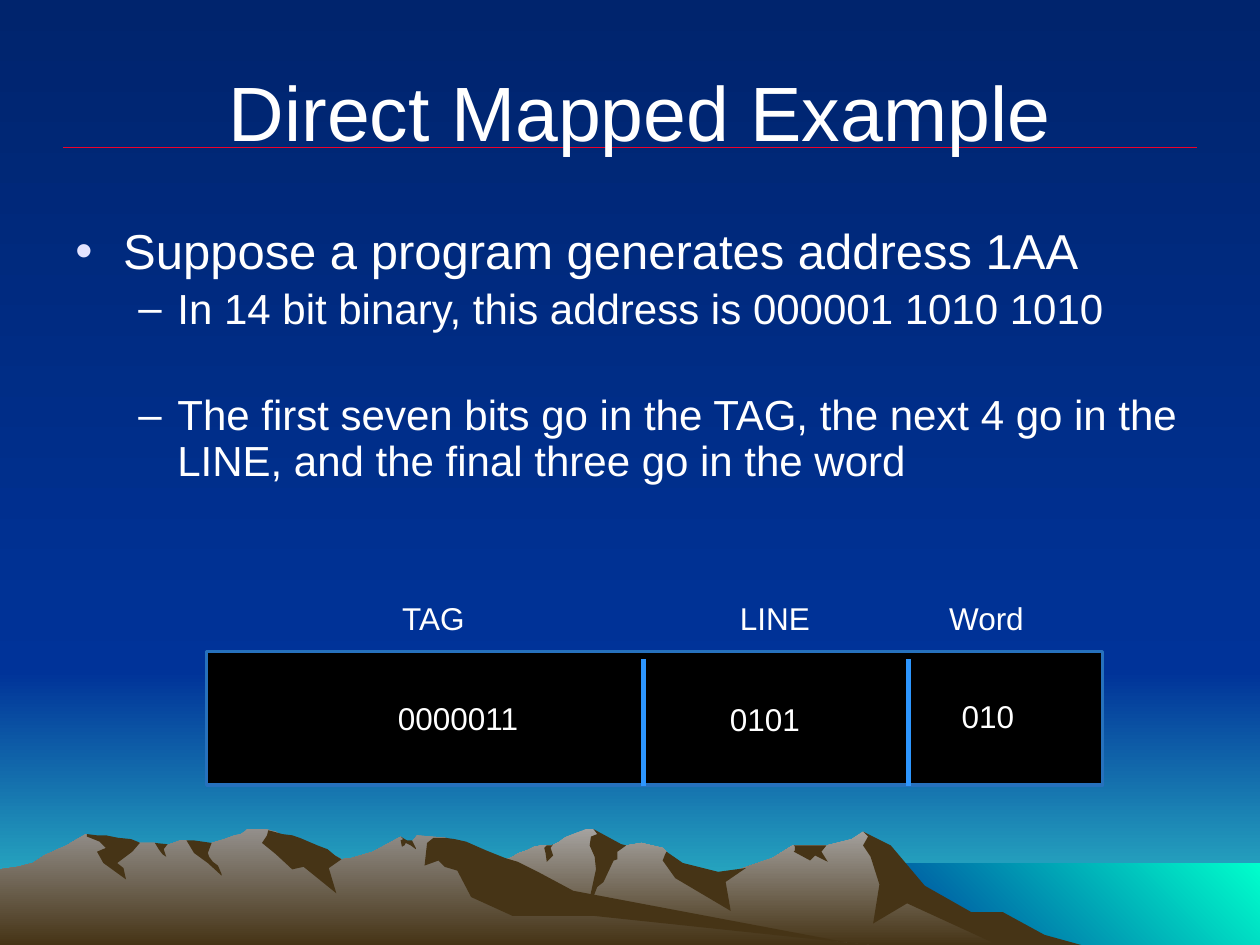
from lxml import etree
from pptx import Presentation
from pptx import util as u
from pptx.dml import color
from pptx.enum import shapes, text
from pptx.oxml import ns

HUES = {
    "night": "00246D", "blue": "003399", "dawn": "33CCCC", "sea": "00FFCC",
    "haze": "A5A29F", "dust": "938F8B", "rock": "463416", "rule": "EF0129",
    "white": "FFFFFF", "dot": "E3E3FF", "black": "000000",
    "edge": "2671BD", "split": "2D96FE",
}
COLS, ROWS = 1000, 750

SKY = [
    ("0,533 1000,533 1000,750 0,750", ("blue", "dawn", 90)),
    ("0,0 1000,0 1000,533 0,533", ("night", "blue", 90)),
    ("683,685 1000,685 1000,750 683,750", ("blue", "sea", 315)),
]
FAR = (
    "802,740 778,727 764,723 723,698 702,671 685,660 676,666 656,671 629,671 "
    "613,681 566,697 536,690 529,676 526,673 509,669 497,671 486,673 474,661 "
    "471,658 465,658 450,664 448,665 444,668 438,671 430,671 424,672 418,675 "
    "412,677 405,681 399,683 395,684 394,685 355,698 327,709 277,739 258,750 820,750"
)
FARDARK = [
    "796,724 771,724 734,703 707,671 685,660 689,664 685,671 691,680 698,702 "
    "693,733 720,717 792,750 858,750 829,742",
    "471,658 474,662 469,664 468,671 472,680 473,690 465,727 474,704 479,700 "
    "487,683 490,682 490,676 497,671 493,670",
    "529,676 528,678 526,683 536,697 580,723 576,700 592,689 570,692 542,685",
    "650,671 630,671 631,672 631,675 630,676 643,683 647,679 657,684 652,676 656,671",
    "433,677 432,673 434,671 438,671 439,670 437,673 439,679 434,684",
]
NEAR = (
    "690,750 667,748 432,712 354,665 331,663 327,668 323,668 318,664 296,676 "
    "279,681 271,682 260,676 236,681 223,663 222,662 219,660 215,659 212,658 "
    "196,658 194,660 191,662 186,663 178,666 168,669 160,671 148,667 143,667 "
    "132,671 128,671 123,669 111,669 94,671 68,662 56,669 53,671 46,674 35,679 "
    "26,685 14,688 0,690 0,750"
)
NEARDARK = [
    "212,663 208,669 219,678 232,690 241,688 267,709 261,689 271,682 266,679 "
    "260,674 252,671 245,668 238,665 232,663 224,662 217,660 213,659",
    "370,668 361,666 354,665 344,665 339,669 337,687 348,683 353,688 363,691 "
    "374,712 407,727 472,727 690,750 683,750 455,707 427,692 411,684 401,681 386,675",
    "318,667 320,666 318,664 323,667 327,667 330,673 330,674 326,671 322,669 "
    "321,671 319,672",
    "154,667 161,668 168,669 165,677 166,680 169,684 173,687 176,694 176,695 "
    "165,685 154,677 148,667",
    "133,670 130,674 132,680 129,678 126,674 123,669",
    "109,668 111,669 105,676 93,685 98,689 100,698 82,685 77,676 84,673 79,668 "
    "69,664 69,662 77,663 84,663 94,665 104,666",
]
POINTS = [
    (0, "Suppose a program generates address 1AA", 0),
    (1, "In 14 bit binary, this address is 000001 1010 1010", 4.8),
    (1, "The first seven bits go in the TAG, the next 4 go in the LINE, "
        "and the final three go in the word", 35),
]
LEVELS = [("•", 28, 0.38, 0.38, "dot"), ("–", 24, 0.81, 0.31, "white")]
NOTES = [
    ("0000011", 294, 551, 139), ("0101", 555, 552, 104), ("010", 732, 550, 104),
    ("TAG", 292, 472, 104), ("LINE", 563, 472, 104), ("Word", 731, 472, 104),
]


def rgb(hue):
    return color.RGBColor.from_string(HUES[hue])


class Deck:
    font = "Arial"

    def __init__(self):
        self.prs = Presentation()
        self.prs.slide_width, self.prs.slide_height = u.Inches(10), u.Inches(7.5)
        self.cell = self.prs.slide_width // COLS
        self.slide = self.prs.slides.add_slide(self.prs.slide_layouts[6])
        self.items = self.slide.shapes

    def grid(self, *vals):
        return [u.Emu(v * self.cell) for v in vals]

    def paint(self, fill, look):
        if isinstance(look, str):
            fill.solid()
            fill.fore_color.rgb = rgb(look)
            return
        *ends, angle = look
        fill.gradient()
        fill.gradient_angle = 360 - angle
        for stop, hue in zip(fill.gradient_stops, ends):
            stop.color.rgb = rgb(hue)

    def form(self, outline, look):
        first, *rest = [tuple(map(int, dot.split(","))) for dot in outline.split()]
        build = self.items.build_freeform(*first, scale=self.cell)
        build.add_line_segments(rest, close=True)
        shape = build.convert_to_shape()
        shape.shadow.inherit = False
        self.paint(shape.fill, look)
        shape.line.fill.background()

    def line(self, ends, hue, width):
        line = self.items.add_connector(shapes.MSO_CONNECTOR.STRAIGHT, *self.grid(*ends))
        line.line.color.rgb = rgb(hue)
        line.line.width = u.Pt(width)
        etree.SubElement(line.element.spPr, ns.qn("a:effectLst"))

    def rect(self, area, look, edge, width):
        shape = self.items.add_shape(shapes.MSO_SHAPE.RECTANGLE, *self.grid(*area))
        shape.shadow.inherit = False
        self.paint(shape.fill, look)
        shape.line.color.rgb = rgb(edge)
        shape.line.width = u.Pt(width)

    def frame(self, area):
        frame = self.items.add_textbox(*self.grid(*area)).text_frame
        frame.word_wrap = True
        return frame

    def run(self, para, words, size):
        run = para.add_run()
        run.text = words
        run.font.name = self.font
        run.font.size = u.Pt(size)
        run.font.color.rgb = rgb("white")

    def label(self, words, area, size):
        frame = self.frame(area)
        frame.vertical_anchor = text.MSO_ANCHOR.MIDDLE
        para = frame.paragraphs[0]
        para.alignment = text.PP_ALIGN.CENTER
        self.run(para, words, size)

    def bullets(self, points, area):
        frame = self.frame(area)
        for k, (level, words, gap) in enumerate(points):
            para = frame.add_paragraph() if k else frame.paragraphs[0]
            mark, size, left, hang, hue = LEVELS[level]
            para.level = level
            para.line_spacing = 0.9
            para.space_before = u.Pt(gap)
            props = para._p.get_or_add_pPr()
            props.set("marL", str(u.Inches(left)))
            props.set("indent", str(-u.Inches(hang)))
            tint = etree.SubElement(props, ns.qn("a:buClr"))
            etree.SubElement(tint, ns.qn("a:srgbClr"), val=HUES[hue])
            etree.SubElement(props, ns.qn("a:buFont"), typeface=self.font)
            etree.SubElement(props, ns.qn("a:buChar"), char=mark)
            self.run(para, words, size)


def main():
    deck = Deck()
    deck.paint(deck.slide.background.fill, ("night", "blue", 90))
    for outline, look in SKY:
        deck.form(outline, look)
    for ridge, top, darks in ((FAR, "haze", FARDARK), (NEAR, "dust", NEARDARK)):
        deck.form(ridge, (top, "rock", 90))
        for dark in darks:
            deck.form(dark, "rock")
    deck.line((50, 117, 950, 117), "rule", 0.75)
    deck.label("Direct Mapped Example", (56, 25, 904, 125), 44)
    deck.bullets(POINTS, (50, 175, 900, 492))
    deck.rect((164, 517, 711, 106), "black", "edge", 2)
    for x in (511, 721):
        deck.line((x, 523, x, 624), "split", 3)
    for words, x, y, wide in NOTES:
        deck.label(words, (x, y, wide, 37), 18)
    deck.prs.save("out.pptx")


if __name__ == "__main__":
    main()
